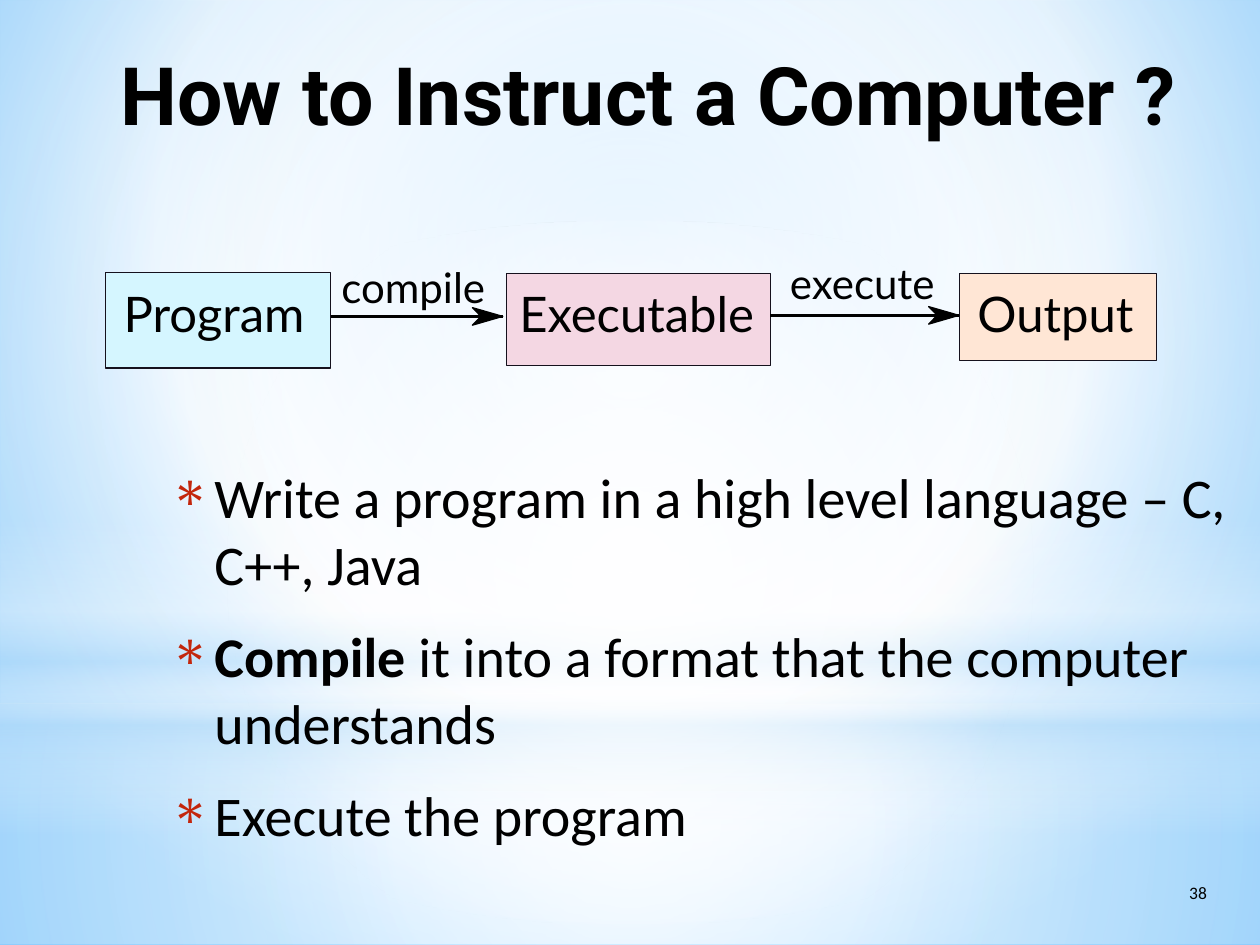
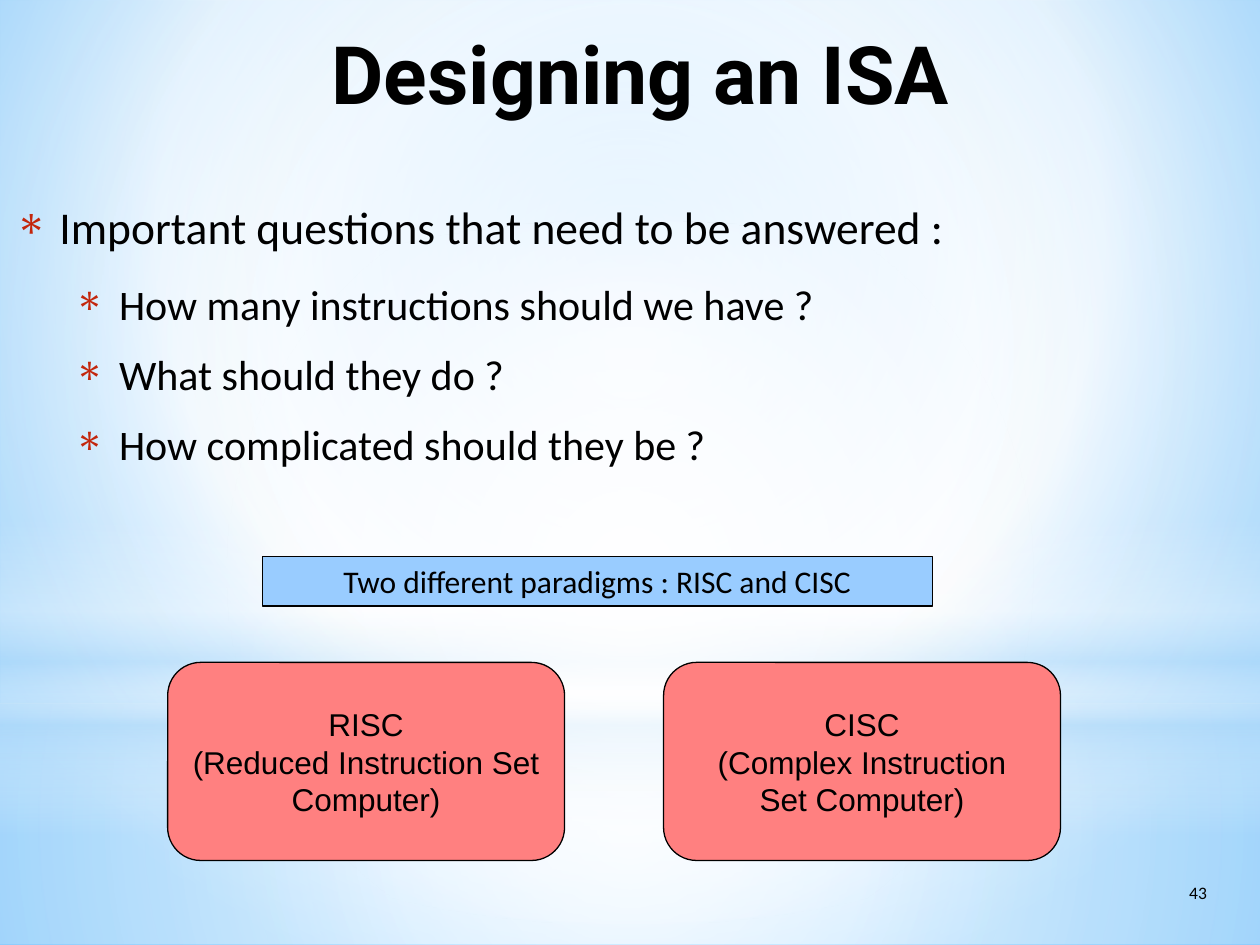
from pptx import Presentation, util as u
from pptx.dml.color import RGBColor
from pptx.enum import shapes, text
from pptx.oxml import parse_xml
from pptx.oxml.ns import nsdecls, qn

BLACK, OUTLINE, BULLET = "000000", "15111D", "C3260C"
WHITE, HAZE = "FFFFFF", "B4DCFA"
CENTRE = (50, 50, 50, 50)
SKY = [(0, "9ED5FF", 100), (60, WHITE, 100), (100, "5BB9FF", 100)]
RECT, OVAL = shapes.MSO_SHAPE.RECTANGLE, shapes.MSO_SHAPE.OVAL
BANDS = [
    (RECT, (0, 402, 720, 138), [(0, WHITE, 91), (37, WHITE, 76), (100, HAZE, 79)], CENTRE),
    (RECT, (0, 0, 720, 402), [(0, WHITE, 89), (48, WHITE, 62), (100, HAZE, 79)], CENTRE),
    (RECT, (0, 297, 720, 180), [(0, WHITE, 0), (29, WHITE, 30), (45, HAZE, 40),
                                (55, WHITE, 26), (65, HAZE, 60), (100, WHITE, 0)], None),
    (OVAL, (0, 126, 720, 402), [(0, WHITE, 100), (56, WHITE, 0)], CENTRE),
]


def rgb(colour):
    return RGBColor.from_string(colour)


def points(*lengths):
    return [u.Pt(length) for length in lengths]


def apply_gradient(holder, stops, focus):
    stop_xml = "".join(
        f'<a:gs pos="{pos * 1000}"><a:srgbClr val="{rgb(colour)}">'
        f'<a:alpha val="{opacity * 1000}"/></a:srgbClr></a:gs>'
        for pos, colour, opacity in stops)
    if focus:
        left, top, right, bottom = (side * 1000 for side in focus)
        direction = (f'<a:path path="circle"><a:fillToRect l="{left}" t="{top}" '
                     f'r="{right}" b="{bottom}"/></a:path>')
    else:
        direction = '<a:lin ang="5400000" scaled="0"/>'
    gradient = parse_xml(f'<a:gradFill {nsdecls("a")} rotWithShape="1">'
                         f'<a:gsLst>{stop_xml}</a:gsLst>{direction}</a:gradFill>')
    holder.replace(holder.find(qn("a:solidFill")), gradient)


def paint_background(master):
    master.background.fill.solid()
    apply_gradient(master.element.find(".//" + qn("p:bgPr")), SKY, (20, 10, 20, 60))


def paint(shape, fill, outline=None):
    shape.shadow.inherit = False
    shape.fill.solid()
    shape.fill.fore_color.rgb = rgb(fill)
    if outline:
        shape.line.color.rgb = rgb(outline)
        shape.line.width = u.Pt(0)
    else:
        shape.line.fill.background()


def style(font, face, size, bold=False):
    font.name, font.size, font.bold = face, u.Pt(size), bold
    font.color.rgb = rgb(BLACK)


def add_text(slide, box, content, face, size, bold=False, align=text.PP_ALIGN.LEFT,
             anchor=text.MSO_ANCHOR.TOP, wrap=False, inset=0):
    frame = slide.shapes.add_textbox(*points(*box)).text_frame
    frame.word_wrap = wrap
    frame.vertical_anchor = anchor
    frame.margin_left = frame.margin_right = u.Pt(inset)
    frame.margin_top = frame.margin_bottom = u.Pt(inset / 2)
    frame.text = content
    line = frame.paragraphs[0]
    line.alignment = align
    style(line.runs[0].font, face, size, bold)


def add_slide(prs, title, title_box, number):
    slide = prs.slides.add_slide(prs.slide_layouts[6])
    for kind, box, stops, focus in BANDS:
        band = slide.shapes.add_shape(kind, *points(*box))
        paint(band, WHITE)
        apply_gradient(band.element.spPr, stops, focus)
    add_text(slide, title_box, title, "Roboto", 46, bold=True, wrap=True,
             align=text.PP_ALIGN.RIGHT, anchor=text.MSO_ANCHOR.MIDDLE)
    add_text(slide, (672.5, 500.4, 44, 29), number, "Calibri", 10, wrap=True, inset=7.2)
    return slide


def add_bullets(slide, box, items):
    frame = slide.shapes.add_textbox(*points(*box)).text_frame
    frame.word_wrap = True
    frame.margin_left = frame.margin_right = frame.margin_top = frame.margin_bottom = 0
    for index, (level, size, pieces) in enumerate(items):
        line = frame.paragraphs[0] if index == 0 else frame.add_paragraph()
        line.level = level
        line.space_after = u.Pt(11.3 if level else 14.1)
        props = line._p.get_or_add_pPr()
        props.set("marL", str(u.Pt(34 * (level + 1))))
        props.set("indent", str(-u.Pt(25.5)))
        props.append(parse_xml(f'<a:buClr {nsdecls("a")}><a:srgbClr val="{rgb(BULLET)}"/></a:buClr>'))
        props.append(parse_xml(f'<a:buChar {nsdecls("a")} char="∗"/>'))
        for words, bold in pieces:
            run = line.add_run()
            run.text = words
            style(run.font, "Calibri", size, bold)


def add_stage(slide, box, fill, label, label_left):
    paint(slide.shapes.add_shape(RECT, *points(*box)), fill, OUTLINE)
    add_text(slide, (label_left, 162, box[2], 37.4), label, "Lato", 28)


def add_step(slide, start, end, y, label, label_left, label_top):
    line = slide.shapes.add_connector(shapes.MSO_CONNECTOR.STRAIGHT, *points(start, y, end, y))
    line.line.color.rgb = rgb(BLACK)
    line.line.width = u.Pt(0)
    line.element.spPr.append(parse_xml(f'<a:effectLst {nsdecls("a")}/>'))
    notch, back = end - 12.4, end - 17.3
    head = slide.shapes.build_freeform(*points(notch, y), scale=1.0)
    head.add_line_segments([points(back, y + 5), points(end, y), points(back, y - 5)], close=True)
    paint(head.convert_to_shape(), BLACK, BLACK)
    add_text(slide, (label_left, label_top, 90, 31), label, "Lato", 24)


def add_card(slide, kind, box, fill, lines, face):
    card = slide.shapes.add_shape(kind, *points(*box))
    paint(card, fill, BLACK)
    frame = card.text_frame
    frame.word_wrap = False
    frame.vertical_anchor = text.MSO_ANCHOR.MIDDLE
    frame.text = "\n".join(lines)
    for line in frame.paragraphs:
        line.alignment = text.PP_ALIGN.CENTER
        style(line.runs[0].font, face, 18)


def build_instruct(prs):
    slide = add_slide(prs, "How to Instruct a Computer ?", (0, 16.6, 671.8, 73.4), "38")
    add_bullets(slide, (88.6, 264.2, 631.4, 215.3), [
        (0, 32, [("Write a program in a high level language – C, C++, Java", False)]),
        (0, 32, [("Compile ", True), ("it into a format that the computer understands", False)]),
        (0, 32, [("Execute the program", False)]),
    ])
    add_stage(slide, (60.3, 155.6, 128.7, 54.8), "D5F6FF", "Program", 70.7)
    add_stage(slide, (289.3, 156.3, 151, 52.5), "F4D7E3", "Executable", 296.8)
    add_stage(slide, (548.3, 156.3, 112.6, 49.6), "FFE6D5", "Output", 558.6)
    add_step(slide, 189, 287.3, 180.8, "compile", 195.1, 149.2)
    add_step(slide, 440.3, 548, 180.2, "execute", 451.4, 147)


def build_isa(prs):
    slide = add_slide(prs, "Designing an ISA", (138.2, 12.2, 403.9, 58.3), "43")
    questions = ["How many instructions should we have ?", "What should they do ?",
                 "How complicated should they be ?"]
    add_bullets(slide, (0, 113.8, 569.5, 185.8),
                [(0, 26, [("Important questions that need to be answered :", False)])]
                + [(1, 24, [(question, False)]) for question in questions])
    add_card(slide, RECT, (149.8, 318, 383, 28.4), "99CCFF",
             ["Two different paradigms : RISC and CISC"], "Calibri")
    paradigms = [("RISC", "(Reduced Instruction Set", "Computer)"),
                 ("CISC", "(Complex Instruction", "Set Computer)")]
    for column, lines in enumerate(paradigms):
        add_card(slide, shapes.MSO_SHAPE.ROUNDED_RECTANGLE,
                 (95.8 + 283.4 * column, 378.5, 226.8, 113.2), "FF8080", lines, "Arial")


def main():
    prs = Presentation()
    prs.slide_width, prs.slide_height = points(720, 540)
    paint_background(prs.slide_master)
    build_instruct(prs)
    build_isa(prs)
    prs.save("out.pptx")


if __name__ == "__main__":
    main()
